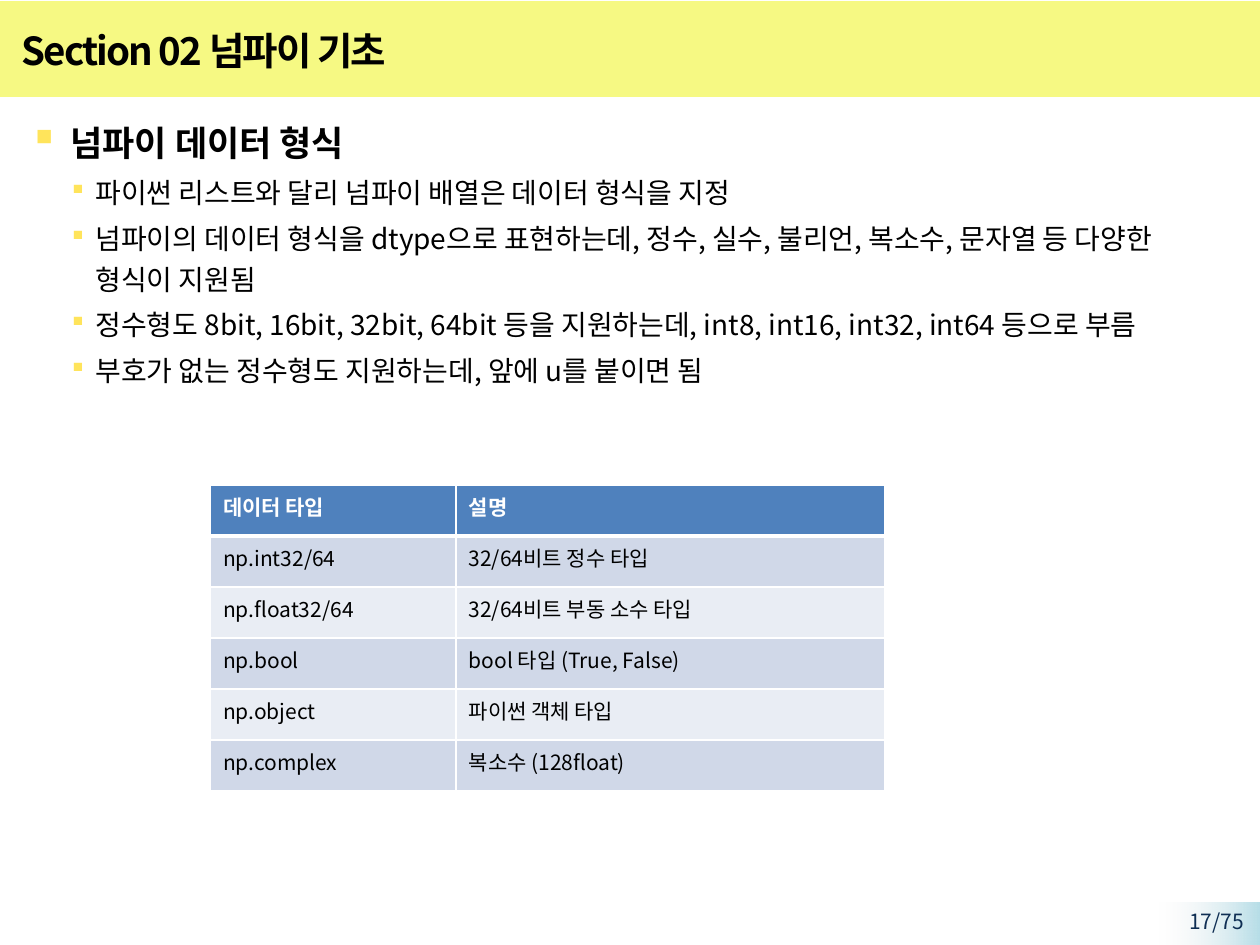
from lxml.etree import SubElement
from pptx import Presentation
from pptx.dml.color import RGBColor
from pptx.enum.shapes import MSO_SHAPE
from pptx.enum.text import MSO_ANCHOR, PP_ALIGN
from pptx.oxml.ns import qn
from pptx.util import Inches, Pt

FONT = "Noto Sans CJK KR"
COLORS = {
    "band": "F6F983", "text": "000000", "bullet": "FFE45B",
    "head": "4F81BD", "odd": "D0D8E8", "even": "E9EDF4",
    "white": "FFFFFF", "page": "0F2E53", "fade": "F2F2F2", "corner": "B7DEE8",
}
POINTS = [
    "파이썬 리스트와 달리 넘파이 배열은 데이터 형식을 지정",
    "넘파이의 데이터 형식을 dtype으로 표현하는데, 정수, 실수, 불리언, 복소수, "
    "문자열 등 다양한 형식이 지원됨",
    "정수형도 8bit, 16bit, 32bit, 64bit 등을 지원하는데, "
    "int8, int16, int32, int64 등으로 부름",
    "부호가 없는 정수형도 지원하는데, 앞에 u를 붙이면 됨",
]
ROWS = [
    ("데이터 타입", "설명"),
    ("np.int32/64", "32/64비트 정수 타입"),
    ("np.float32/64", "32/64비트 부동 소수 타입"),
    ("np.bool", "bool 타입 (True, False)"),
    ("np.object", "파이썬 객체 타입"),
    ("np.complex", "복소수 (128float)"),
]


def color(name):
    return RGBColor.from_string(COLORS[name])


def style(para, size, bold=False, ink="text", track=None):
    font = para.font
    font.size, font.bold = Pt(size), bold
    font.color.rgb = color(ink)
    font.name = FONT
    props = para._p.pPr.find(qn("a:defRPr"))
    SubElement(props, qn("a:ea"), typeface=FONT)
    if track is not None:
        props.set("spc", str(track * 100))


def bullet(para, left, hang, scale):
    """Add a hanging square bullet; in Wingdings the § sign is a square."""
    para.line_spacing = 1.2
    props = para._p.get_or_add_pPr()
    props.set("marL", str(Inches(left)))
    props.set("indent", str(-Inches(hang)))
    tint = SubElement(props, qn("a:buClr"))
    SubElement(tint, qn("a:srgbClr"), val=COLORS["bullet"])
    SubElement(props, qn("a:buSzPct"), val=str(scale * 1000))
    SubElement(props, qn("a:buFont"), typeface="Wingdings", charset="2")
    SubElement(props, qn("a:buChar"), char="§")


def edge(cell, top):
    """Draw white cell borders, heavier between the head and the rows."""
    props = cell._tc.get_or_add_tcPr()
    widths = {"L": 1, "R": 1, "T": 1 if top else None, "B": 3 if top else 1}
    for side, width in widths.items():
        if width:
            line = SubElement(props, qn(f"a:ln{side}"), w=str(Pt(width)))
            fill = SubElement(line, qn("a:solidFill"))
            SubElement(fill, qn("a:srgbClr"), val=COLORS["white"])


def add_box(slide, x, y, w, h):
    shape = slide.shapes.add_shape(
        MSO_SHAPE.RECTANGLE, Inches(x), Inches(y), Inches(w), Inches(h))
    shape.shadow.inherit = False
    shape.line.fill.background()
    return shape


def add_frame(slide, x, y, w, h):
    box = slide.shapes.add_textbox(Inches(x), Inches(y), Inches(w), Inches(h))
    box.text_frame.word_wrap = True
    return box.text_frame


def add_title(slide, x, y, w, h):
    band = add_box(slide, x, y, w, h)
    band.fill.solid()
    band.fill.fore_color.rgb = color("band")
    frame = add_frame(slide, x + 0.07, y + 0.13, w - 1.49, 0.52)
    frame.vertical_anchor = MSO_ANCHOR.MIDDLE
    para = frame.paragraphs[0]
    para.text = "Section 02 넘파이 기초"
    style(para, 22, bold=True, track=-1)


def add_body(slide, x, y, w, h):
    frame = add_frame(slide, x, y, w, h)
    head = frame.paragraphs[0]
    head.text = "넘파이 데이터 형식"
    bullet(head, 0.39, 0.29, 130)
    style(head, 20, bold=True)
    for text in POINTS:
        para = frame.add_paragraph()
        para.text, para.level = text, 1
        para.space_before = Pt(3.2)
        bullet(para, 0.59, 0.19, 100)
        style(para, 16)


def add_types(slide, x, y, w, h):
    table = slide.shapes.add_table(
        len(ROWS), 2, Inches(x), Inches(y), Inches(w), Inches(h)).table
    first = 1.95
    for col, width in zip(table.columns, (first, w - first)):
        col.width = Inches(width)
    for r, row in enumerate(ROWS):
        top = r == 0
        fill = "head" if top else "odd" if r % 2 else "even"
        for c, text in enumerate(row):
            cell = table.cell(r, c)
            edge(cell, top)
            cell.fill.solid()
            cell.fill.fore_color.rgb = color(fill)
            para = cell.text_frame.paragraphs[0]
            para.text = text
            style(para, 12, bold=top, ink="white" if top else "text")


def add_page(slide, x, y, w, h):
    fill = add_box(slide, x, y, w, h).fill
    fill.gradient()
    fill.gradient_angle = 180
    for stop, name in zip(fill.gradient_stops, ("corner", "fade")):
        stop.color.rgb = color(name)
    clear = fill._xPr.findall(".//" + qn("a:srgbClr"))[-1]
    SubElement(clear, qn("a:alpha"), val="0")
    frame = add_frame(slide, x - 0.15, y, w + 0.12, 0.23)
    para = frame.paragraphs[0]
    para.text = "17/75"
    para.alignment = PP_ALIGN.RIGHT
    style(para, 12, ink="page")


def main():
    deck = Presentation()
    deck.slide_width, deck.slide_height = Inches(10), Inches(7.5)
    slide = deck.slides.add_slide(deck.slide_layouts[6])
    add_title(slide, 0, 0.01, 10, 0.76)
    add_page(slide, 9.2, 7.16, 0.8, 0.37)
    add_body(slide, 0.07, 0.85, 9.8, 6.2)
    add_types(slide, 1.67, 3.85, 5.35, 2.43)
    deck.save("out.pptx")


if __name__ == "__main__":
    main()
